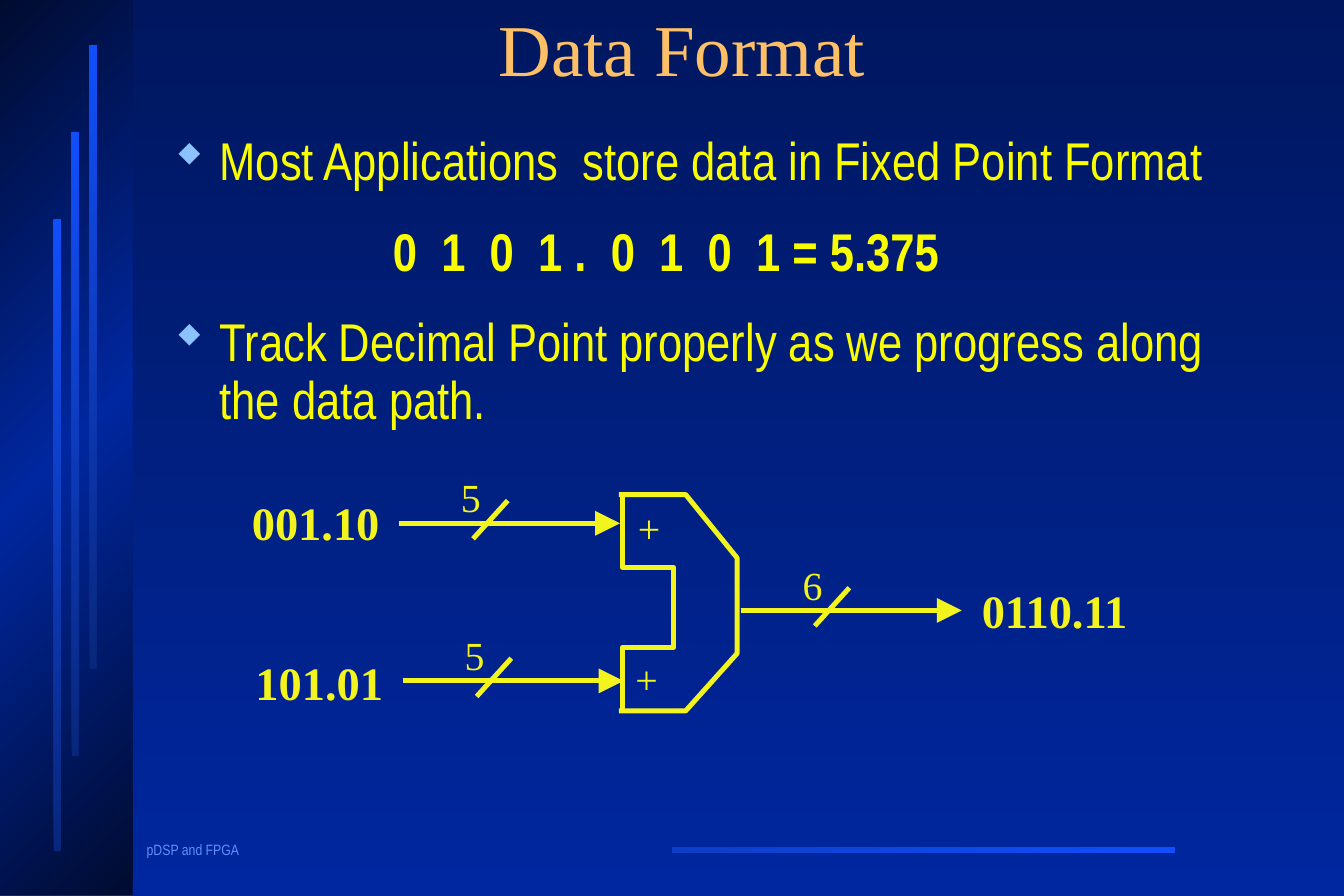
from copy import deepcopy
from pptx import Presentation
from pptx import util as u
from pptx.dml.color import RGBColor
from pptx.enum import shapes, text
from pptx.oxml import parse_xml
from pptx.oxml.ns import nsdecls

Inches, Pt = u.Inches, u.Pt
NIGHT = RGBColor(0x00, 0x0B, 0x2F)
DARK = RGBColor(0x00, 0x17, 0x5F)
NAVY = RGBColor(0x00, 0x27, 0x9F)
DEEP = RGBColor(0x08, 0x27, 0x7C)
MID = RGBColor(0x0D, 0x3E, 0xC8)
BRIGHT = RGBColor(0x11, 0x4F, 0xFB)
PALE = RGBColor(0x61, 0x8F, 0xFD)
SKY = RGBColor(0x8C, 0xC2, 0xFF)
ORANGE = RGBColor(0xFE, 0xC0, 0x66)
LEMON = RGBColor(0xFA, 0xFD, 0x00)
YELLOW = RGBColor(0xF3, 0xF3, 0x1D)
SERIF, NARROW = "Times New Roman", "Arial Narrow"


def shade(fill, angle, first, last):
    fill.gradient()
    fill.gradient_angle = angle
    for stop, color, place in zip(fill.gradient_stops, (first, last), (0, 1)):
        stop.color.rgb = color
        stop.position = place


def label(words, left, top, width, height, size, face=SERIF, color=YELLOW, bold=False):
    frame = slide.shapes.add_textbox(
        Inches(left), Inches(top), Inches(width), Inches(height)).text_frame
    frame.word_wrap = False
    frame.text = words
    for para in frame.paragraphs:
        font = para.runs[0].font
        font.name, font.size, font.bold = face, Pt(size), bold
        font.color.rgb = color
    return frame


deck = Presentation()
deck.slide_width, deck.slide_height = Inches(11.25), Inches(7.5)
slide = deck.slides.add_slide(deck.slide_layouts[5])
shade(slide.background.fill, 270, DARK, NAVY)

foot = label("pDSP and FPGA", 1.13, 7, 1.5, 0.23, 9, NARROW, PALE)
foot.paragraphs[0].line_spacing = 0.9

bars = [
    (5.63, 7.09, 4.21, 0.05, BRIGHT, MID),
    (0, 0, 1.11, 7.49, NIGHT, NIGHT),
    (0.45, 1.84, 0.06, 5.28, DEEP, BRIGHT),
    (0.6, 1.11, 0.06, 5.22, DEEP, BRIGHT),
    (0.75, 0.38, 0.06, 5.22, DEEP, BRIGHT),
]
for left, top, width, height, first, last in bars:
    bar = slide.shapes.add_shape(
        shapes.MSO_SHAPE.RECTANGLE,
        Inches(left), Inches(top), Inches(width), Inches(height))
    bar.shadow.inherit = False
    bar.line.fill.background()
    shade(bar.fill, 135, first, last)
    if first == last:
        edge = bar._element.xpath(".//a:gs")[0]
        core = deepcopy(edge)
        edge.addnext(core)
        stop = bar.fill.gradient_stops[1]
        stop.color.rgb, stop.position = NAVY, 0.5

title = slide.shapes.title
title.left, title.top = Inches(1.26), Inches(0)
title.width, title.height = Inches(8.9), Inches(0.9)
title.text_frame.text = "Data Format"
title.text_frame.vertical_anchor = text.MSO_ANCHOR.MIDDLE
head = title.text_frame.paragraphs[0]
head.alignment = text.PP_ALIGN.CENTER
head.line_spacing = 0.85
font = head.runs[0].font
font.name, font.size = SERIF, Pt(44)
font.color.rgb = ORANGE

lines = [
    "Most Applications  store data in Fixed Point Format",
    "0  1  0  1 .  0  1  0  1 = 5.375",
    "Track Decimal Point properly as we progress along the data path.",
]
body = label("\n".join(lines), 1.16, 1.08, 9.22, 2.6, 32, NARROW, LEMON)
body.word_wrap = True
for para in body.paragraphs:
    para.line_spacing, para.space_before = 0.9, Pt(20)
    props = para._p.get_or_add_pPr()
    if "=" in para.text:
        para.runs[0].font.bold = True
        props.set("marL", str(Inches(2.03)))
    else:
        props.set("marL", str(Inches(0.58)))
        props.set("indent", str(Inches(-0.38)))
        for mark in (
            f'<a:buClr {nsdecls("a")}><a:srgbClr val="{SKY}"/></a:buClr>',
            f'<a:buFont {nsdecls("a")} typeface="Wingdings" charset="2"/>',
            f'<a:buChar {nsdecls("a")} char="w"/>',
        ):
            props.append(parse_xml(mark))

outer = [(5.18, 4.14), (5.74, 4.14), (6.17, 4.67), (6.17, 5.47), (5.74, 5.95), (5.18, 5.95)]
inner = [(5.21, 4.14), (5.21, 4.75), (5.64, 4.75), (5.64, 5.42), (5.21, 5.42), (5.21, 5.95)]
for points in (outer, inner):
    spots = [(Inches(x), Inches(y)) for x, y in points]
    pen = slide.shapes.build_freeform(*spots[0])
    pen.add_line_segments(spots[1:], close=False)
    side = pen.convert_to_shape()
    side.shadow.inherit = False
    side.fill.background()
    side.line.color.rgb, side.line.width = YELLOW, Pt(3)

for left, top in ((5.24, 4.17), (5.22, 5.43)):
    label("+", left, top, 0.39, 0.5, 24)

wires = [
    (3.34, 4.38, "5", "001.10", 2.01, 4.09, 1.27),
    (3.37, 5.7, "5", "101.01", 2.04, 5.43, 1.27),
    (6.2, 5.11, "6", "0110.11", 8.12, 4.82, 1.46),
]
for x, y, bits, value, left, top, width in wires:
    arrow = (x, y, x + 1.85, y)
    slash = (x + 0.91, y - 0.19, x + 0.62, y + 0.13)
    for ends in (arrow, slash):
        wire = slide.shapes.add_connector(
            shapes.MSO_CONNECTOR.STRAIGHT, *[Inches(end) for end in ends])
        wire.line.color.rgb, wire.line.width = YELLOW, Pt(3)
        if ends == arrow:
            wire.line._get_or_add_ln().append(parse_xml(
                f'<a:tailEnd {nsdecls("a")} type="triangle" w="lg" len="lg"/>'))
        wire._element.spPr.append(parse_xml(f'<a:effectLst {nsdecls("a")}/>'))
    label(bits, x + 0.42, y - 0.47, 0.36, 0.5, 24)
    label(value, left, top, width, 0.57, 28, bold=True)

deck.save("out.pptx")
